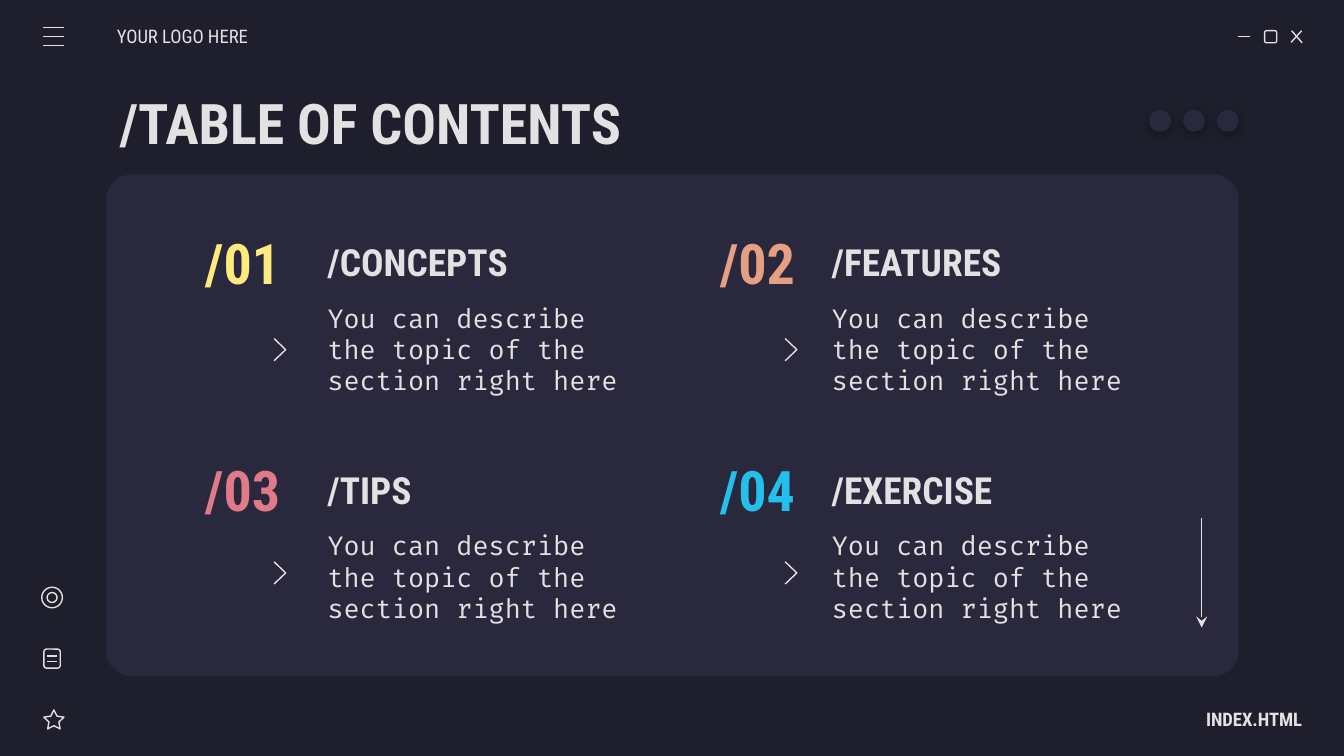
from itertools import product

from lxml.etree import SubElement
from pptx import Presentation
from pptx.dml.color import RGBColor
from pptx.enum.shapes import MSO_CONNECTOR, MSO_SHAPE
from pptx.enum.text import MSO_ANCHOR, MSO_AUTO_SIZE, PP_ALIGN
from pptx.oxml.ns import qn
from pptx.util import Cm, Pt

NIGHT, PANEL, LIGHT = "1E1E2C", "29283D", "E2E2E2"
CONDENSED, MONO = "Roboto Condensed", "Fira Code"
INSET = 0.25
DESCRIPTION = "You can describe the topic of the section right here"
SECTIONS = [
    ("/01", "/CONCEPTS", "FFEA7D"),
    ("/02", "/FEATURES", "E5A083"),
    ("/03", "/TIPS", "E07A88"),
    ("/04", "/EXERCISE", "24BFEB"),
]
# number, heading and chevron lefts of a column; heading and chevron tops of a row
COLUMNS = [(3.43, 5.94, 5.18), (13.16, 15.47, 14.84)]
ROWS = [(4.24, 6.4), (8.54, 10.62)]


def color(hex_value):
    """Turn a hex string into a colour."""
    return RGBColor.from_string(hex_value)


def apply(target, formats):
    """Set every attribute named in the format values."""
    for attribute, value in formats.items():
        setattr(target, attribute, value)


def place(element, left, top, width, height):
    """Move and size an element in centimetres."""
    apply(element, {"left": Cm(left), "top": Cm(top),
                    "width": Cm(width), "height": Cm(height)})


def write(holder, text, size, tint=LIGHT, face=CONDENSED, bold=True,
          align=PP_ALIGN.LEFT, left_inset=INSET, right_inset=INSET):
    """Write one formatted paragraph into a text holder."""
    frame = holder.text_frame
    apply(frame, {
        "text": text, "word_wrap": True, "auto_size": MSO_AUTO_SIZE.NONE,
        "vertical_anchor": MSO_ANCHOR.MIDDLE,
        "margin_left": Cm(left_inset), "margin_right": Cm(right_inset),
        "margin_top": Cm(INSET), "margin_bottom": Cm(INSET),
    })
    paragraph = frame.paragraphs[0]
    apply(paragraph, {"alignment": align, "space_before": Pt(0)})
    properties = paragraph._p.get_or_add_pPr()
    properties.set("marL", "0")
    properties.set("indent", "0")
    SubElement(properties, qn("a:buNone"))
    font = paragraph.runs[0].font
    apply(font, {"name": face, "size": Pt(size), "bold": bold})
    font.color.rgb = color(tint)


def add_label(slide, box, text, size, **formats):
    """Add a text box with one line of text."""
    label = slide.shapes.add_textbox(*map(Cm, box))
    write(label, text, size, **formats)


def outline(element):
    """Give an element the thin light line."""
    element.line.color.rgb = color(LIGHT)
    element.line.width = Pt(0.75)


def add_stroke(slide, *ends):
    """Add a thin straight line."""
    stroke = slide.shapes.add_connector(MSO_CONNECTOR.STRAIGHT, *map(Cm, ends))
    outline(stroke)
    SubElement(stroke._element.spPr, qn("a:effectLst"))
    return stroke


def add_arrow(slide, *ends):
    """Add a thin line with a stealth arrowhead at its end."""
    arrow = add_stroke(slide, *ends)
    SubElement(arrow.line._get_or_add_ln(), qn("a:tailEnd"), type="stealth")


def add_icon(slide, kind, *box):
    """Add an unfilled outlined icon part."""
    icon = slide.shapes.add_shape(kind, *map(Cm, box))
    icon.shadow.inherit = False
    icon.fill.background()
    outline(icon)
    return icon


def add_panel(slide, kind, *box):
    """Add a filled shape without a line."""
    panel = slide.shapes.add_shape(kind, *map(Cm, box))
    panel.shadow.inherit = False
    panel.fill.solid()
    panel.fill.fore_color.rgb = color(PANEL)
    panel.line.fill.background()
    return panel


def add_dot(slide, left):
    """Add a round dot with a soft shadow below it."""
    dot = add_panel(slide, MSO_SHAPE.OVAL, left, 2.08, 0.41, 0.41)
    effects = dot._element.spPr.find(qn("a:effectLst"))
    shadow = SubElement(effects, qn("a:outerShdw"), blurRad=str(Pt(4.5)),
                        dist=str(Pt(1.5)), dir="5400000", algn="bl", rotWithShape="0")
    tint = SubElement(shadow, qn("a:srgbClr"), val="000000")
    SubElement(tint, qn("a:alpha"), val="30000")


def add_chevron(slide, left, top):
    """Add an open chevron pointing right."""
    builder = slide.shapes.build_freeform(Cm(left), Cm(top))
    tip, tail = (left + 0.22, top + 0.21), (left, top + 0.42)
    builder.add_line_segments([tuple(map(Cm, point)) for point in (tip, tail)], close=False)
    chevron = builder.convert_to_shape()
    chevron.shadow.inherit = False
    chevron.fill.background()
    outline(chevron)


def add_section(slide, body, column, row, section):
    """Add number, heading, description and chevron of one section."""
    number_left, heading_left, chevron_left = column
    top, chevron_top = row
    number, heading, tint = section
    add_label(slide, (heading_left, top, 6.5, 1.42), heading, 20)
    add_label(slide, (number_left, top, 2.31, 1.42), number, 30,
              tint=tint, align=PP_ALIGN.CENTER)
    place(body, heading_left, top + 1.41, 6.5, 1.9)
    write(body, DESCRIPTION, 14, face=MONO, bold=False)
    add_chevron(slide, chevron_left, chevron_top)


def add_window_controls(slide):
    """Add the minimise, maximise and close signs."""
    add_stroke(slide, 23.39, 0.69, 23.62, 0.69)
    add_icon(slide, MSO_SHAPE.ROUNDED_RECTANGLE, 23.9, 0.58, 0.23, 0.23)
    add_stroke(slide, 24.41, 0.58, 24.61, 0.81)
    add_stroke(slide, 24.6, 0.58, 24.4, 0.8)


def add_side_icons(slide):
    """Add the menu, target, note and star icons at the left edge."""
    for level in (0.52, 0.69, 0.86):
        add_stroke(slide, 0.82, level, 1.21, level)
    add_icon(slide, MSO_SHAPE.OVAL, 0.79, 11.1, 0.39, 0.39)
    add_icon(slide, MSO_SHAPE.OVAL, 0.89, 11.2, 0.19, 0.19)
    add_icon(slide, MSO_SHAPE.ROUNDED_RECTANGLE, 0.83, 12.27, 0.31, 0.36)
    for level in (12.4, 12.5):
        add_stroke(slide, 0.89, level, 1.08, level)
    star = add_icon(slide, MSO_SHAPE.STAR_5_POINT, 0.83, 13.42, 0.38, 0.36)
    star.adjustments[0] = 0.25


def main():
    """Build the table of contents slide."""
    deck = Presentation()
    apply(deck, {"slide_width": Cm(25.4), "slide_height": Cm(14.29)})
    slide = deck.slides.add_slide(deck.slide_layouts.get_by_name("Comparison"))
    slide.background.fill.solid()
    slide.background.fill.fore_color.rgb = color(NIGHT)
    title, *bodies = slide.placeholders

    card = add_panel(slide, MSO_SHAPE.ROUNDED_RECTANGLE, 2.01, 3.3, 21.4, 9.48)
    card.adjustments[0] = 0.05
    slide.shapes._spTree.insert(2, card._element)

    place(title, 2.01, 1.5, 21.4, 1.6)
    write(title, "/TABLE OF CONTENTS", 30)
    for body, (row, column), section in zip(bodies, product(ROWS, COLUMNS), SECTIONS):
        add_section(slide, body, column, row, section)

    add_label(slide, (2.21, 0.31, 2.97, 0.76), "YOUR LOGO HERE", 10,
              bold=False, left_inset=0)
    add_label(slide, (21.64, 13.21, 2.97, 0.76), "INDEX.HTML", 10,
              align=PP_ALIGN.RIGHT, right_inset=0)
    add_window_controls(slide)
    add_side_icons(slide)
    add_arrow(slide, 22.71, 9.8, 22.71, 11.86)
    for step in range(3):
        add_dot(slide, 21.72 + 0.64 * step)
    deck.save("out.pptx")


if __name__ == "__main__":
    main()
